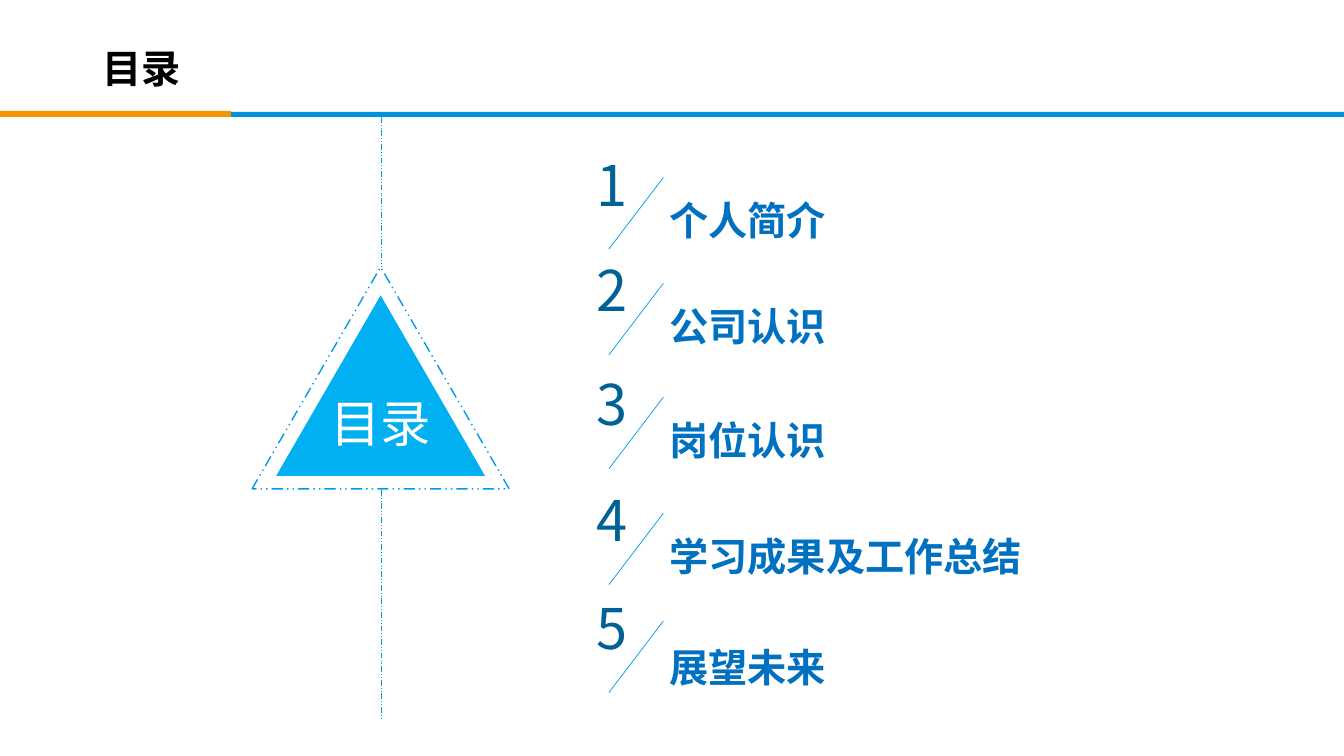
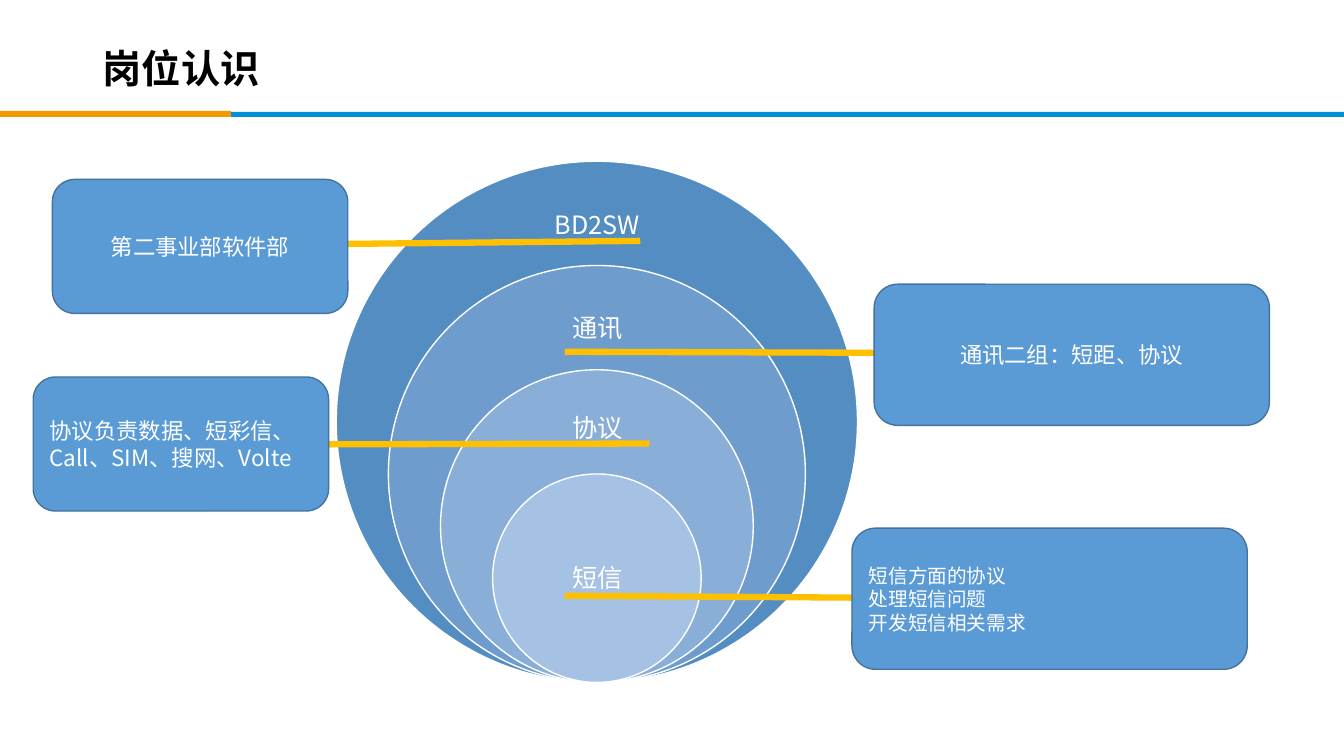
from dataclasses import dataclass

from lxml.etree import SubElement
from pptx import Presentation
from pptx.dml.color import RGBColor
from pptx.enum.dml import MSO_LINE
from pptx.enum.shapes import MSO_CONNECTOR, MSO_SHAPE as Shape
from pptx.enum.text import MSO_ANCHOR as Anchor, MSO_AUTO_SIZE as AutoSize, PP_ALIGN as Align
from pptx.oxml.ns import qn
from pptx.util import Inches, Pt

FONT = "Noto Sans CJK SC"
COLORS = {
    "black": "000000", "white": "FFFFFF",
    "band": "0091DB", "band_accent": "F39800",
    "triangle": "00B0F0", "outline": "0099EE",
    "number": "006196", "entry": "0070C0",
    "callout": "5B9BD5", "callout_edge": "43739E", "pointer": "FFC000",
    "ring1": "538DC1", "ring2": "6E9DCD", "ring3": "89AFD8", "ring4": "A5C1E3",
}
TITLE_ONLY = 5
DASH = MSO_LINE.DASH_DOT_DOT
INSETS = (0.1, 0.05, 0.1, 0.05)


@dataclass(frozen=True)
class Entry:
    """One line of the contents list."""
    number: str
    label: str
    top: float
    label_drop: float = 0.52


@dataclass(frozen=True)
class Ring:
    """One of the stacked circles with its label."""
    label: str
    color: str
    label_top: float
    label_height: float


@dataclass(frozen=True)
class Callout:
    """A rounded box with a pointer into a ring."""
    lines: tuple
    at: tuple
    pointer: tuple
    size: int = 16
    align: Align = Align.CENTER


ENTRIES = (
    Entry("1", "个人简介", 1.44),
    Entry("2", "公司认识", 2.49),
    Entry("3", "岗位认识", 3.62),
    Entry("4", "学习成果及工作总结", 4.77),
    Entry("5", "展望未来", 5.84, 0.56),
)
RINGS = (
    Ring("BD2SW", "ring1", 1.86, 0.78),
    Ring("通讯", "ring2", 2.89, 0.75),
    Ring("协议", "ring3", 3.91, 0.7),
    Ring("短信", "ring4", 5.23, 1.03),
)
CALLOUTS = (
    Callout(("短信方面的协议", "处理短信问题", "开发短信相关需求"),
            (8.45, 5.24, 3.92, 1.4), (5.6, 5.91, 8.63, 5.93), 14, Align.LEFT),
    Callout(("协议负责数据、短彩信、Call、SIM、搜网、Volte",),
            (0.33, 3.74, 2.93, 1.33), (2.65, 4.41, 6.44, 4.4), align=Align.LEFT),
    Callout(("通讯二组：短距、协议",),
            (8.67, 2.82, 3.92, 1.4), (5.6, 3.49, 8.85, 3.5)),
    Callout(("第二事业部软件部",),
            (0.52, 1.78, 2.93, 1.33), (3.45, 2.42, 6.35, 2.39)),
)


def rgb(name: str) -> RGBColor:
    """Look up a colour by name."""
    return RGBColor.from_string(COLORS[name])


def write(box, *lines: str, size: int, color: str = "white", bold: bool = False,
          align: Align = Align.LEFT, anchor: Anchor = Anchor.MIDDLE,
          insets: tuple = INSETS, spacing: float | None = None, wrap: bool = True) -> None:
    """Fill the text frame of a box, one paragraph for each line."""
    frame = box.text_frame
    frame.word_wrap = wrap
    frame.vertical_anchor = anchor
    frame.margin_left, frame.margin_top, frame.margin_right, frame.margin_bottom = map(Inches, insets)
    for index, line in enumerate(lines):
        para = frame.add_paragraph() if index else frame.paragraphs[0]
        para.alignment = align
        para.line_spacing = spacing
        span = para.add_run()
        span.text = line
        font = span.font
        font.name, font.size, font.bold = FONT, Pt(size), bold
        font.color.rgb = rgb(color)
        SubElement(font._element, qn("a:ea"), typeface=FONT)


def add_shape(shapes, kind: Shape, at: tuple, fill: str | None = None,
              edge: str | None = None, dash: MSO_LINE | None = None):
    """Add a flat preset shape."""
    shape = shapes.add_shape(kind, *map(Inches, at))
    shape.shadow.inherit = False
    if fill:
        shape.fill.solid()
        shape.fill.fore_color.rgb = rgb(fill)
    else:
        shape.fill.background()
    if edge:
        shape.line.color.rgb = rgb(edge)
        shape.line.width = Pt(1)
        shape.line.dash_style = dash
    else:
        shape.line.fill.background()
    return shape


def add_text(shapes, at: tuple, text: str, **style):
    """Add a text box."""
    box = shapes.add_textbox(*map(Inches, at))
    write(box, text, **style)
    return box


def add_line(shapes, ends: tuple, color: str = "outline", width: float = 0.5,
             dash: MSO_LINE | None = None) -> None:
    """Add a straight line without a shadow."""
    line = shapes.add_connector(MSO_CONNECTOR.STRAIGHT, *map(Inches, ends))
    line.line.color.rgb = rgb(color)
    line.line.width = Pt(width)
    line.line.dash_style = dash
    SubElement(line._element.spPr, qn("a:effectLst"))


def add_page(deck, heading: str):
    """Add a slide with the shared bands and title."""
    page = deck.slides.add_slide(deck.slide_layouts[TITLE_ONLY])
    add_shape(page.shapes, Shape.RECTANGLE, (0, 1.11, 13.33, 0.05), "band")
    add_shape(page.shapes, Shape.RECTANGLE, (0, 1.1, 2.29, 0.06), "band_accent")
    title = page.shapes.title
    title.left, title.top, title.width, title.height = map(Inches, (0.92, 0.4, 10.9, 0.6))
    write(title, heading, size=28, color="black", bold=True, spacing=0.9)
    return page


def add_entry(shapes, entry: Entry) -> None:
    """Draw a number, its slash and its label."""
    top = entry.top
    add_text(shapes, (6.45, top + entry.label_drop, 5.28, 0.44), entry.label,
             size=28, color="entry", bold=True, insets=(0.19, 0.05, 0.1, 0.05))
    add_line(shapes, (6.58, top + 0.32, 6.04, top + 1.03))
    number = add_text(shapes, (5.82, top, 0.42, 0.77), entry.number,
                      size=40, color="number", anchor=Anchor.TOP)
    number.text_frame.auto_size = AutoSize.SHAPE_TO_FIT_TEXT


def add_rings(shapes) -> None:
    """Draw circles that shrink by a fifth and share their lowest point."""
    center, bottom, widest = 5.92, 6.77, 5.17
    for index, ring in enumerate(RINGS):
        width = widest * (1 - index / 5)
        add_shape(shapes, Shape.OVAL, (center - width / 2, bottom - width, width, width),
                  ring.color, "white")
        add_text(shapes, (5.2, ring.label_top, 1.45, ring.label_height), ring.label,
                 size=18, align=Align.CENTER, insets=(0.14,) * 4, spacing=0.9)


def add_callout(shapes, callout: Callout) -> None:
    """Draw a pointer and the box that covers its end."""
    add_line(shapes, callout.pointer, "pointer", 4.5)
    box = add_shape(shapes, Shape.ROUNDED_RECTANGLE, callout.at, "callout", "callout_edge")
    write(box, *callout.lines, size=callout.size, align=callout.align)


def build_contents(deck) -> None:
    """Build the contents slide."""
    shapes = add_page(deck, "目录").shapes
    triangle = add_shape(shapes, Shape.ISOSCELES_TRIANGLE, (2.74, 2.93, 2.07, 1.79), "triangle")
    write(triangle, "目录", size=36, align=Align.CENTER, insets=(0, 0, 0, 0.16))
    add_shape(shapes, Shape.ISOSCELES_TRIANGLE, (2.5, 2.65, 2.55, 2.2), edge="outline", dash=DASH)
    for start, end in ((1.16, 2.65), (4.86, 7.13)):
        add_line(shapes, (3.78, start, 3.78, end), dash=DASH)
    for entry in ENTRIES:
        add_entry(shapes, entry)


def build_position(deck) -> None:
    """Build the slide about the position."""
    shapes = add_page(deck, "岗位认识").shapes
    add_rings(shapes.add_group_shape().shapes)
    for callout in CALLOUTS:
        add_callout(shapes.add_group_shape().shapes, callout)


def main() -> None:
    """Build and save the deck."""
    deck = Presentation()
    deck.slide_width, deck.slide_height = Inches(13.33), Inches(7.5)
    build_contents(deck)
    build_position(deck)
    deck.save("out.pptx")


main()
